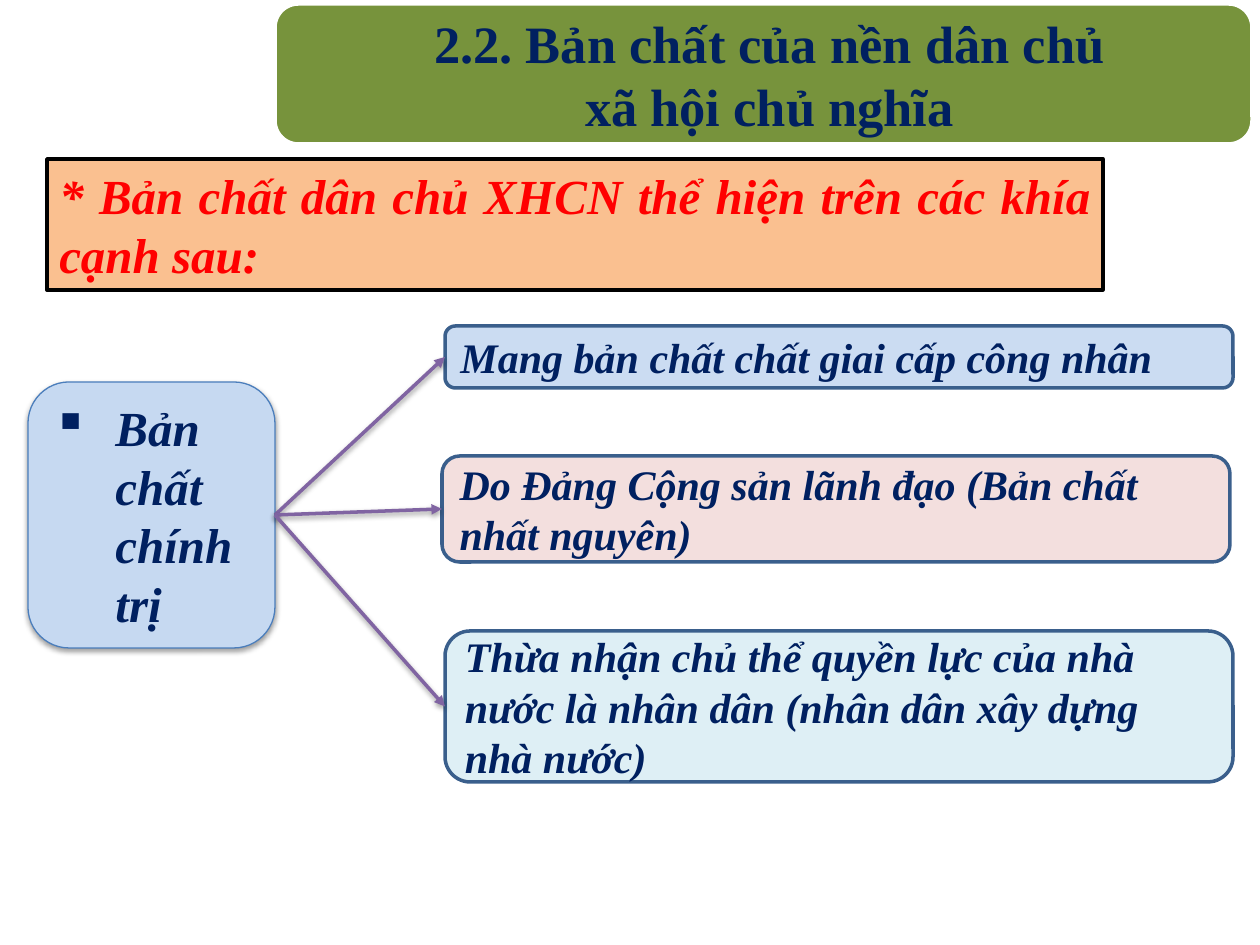
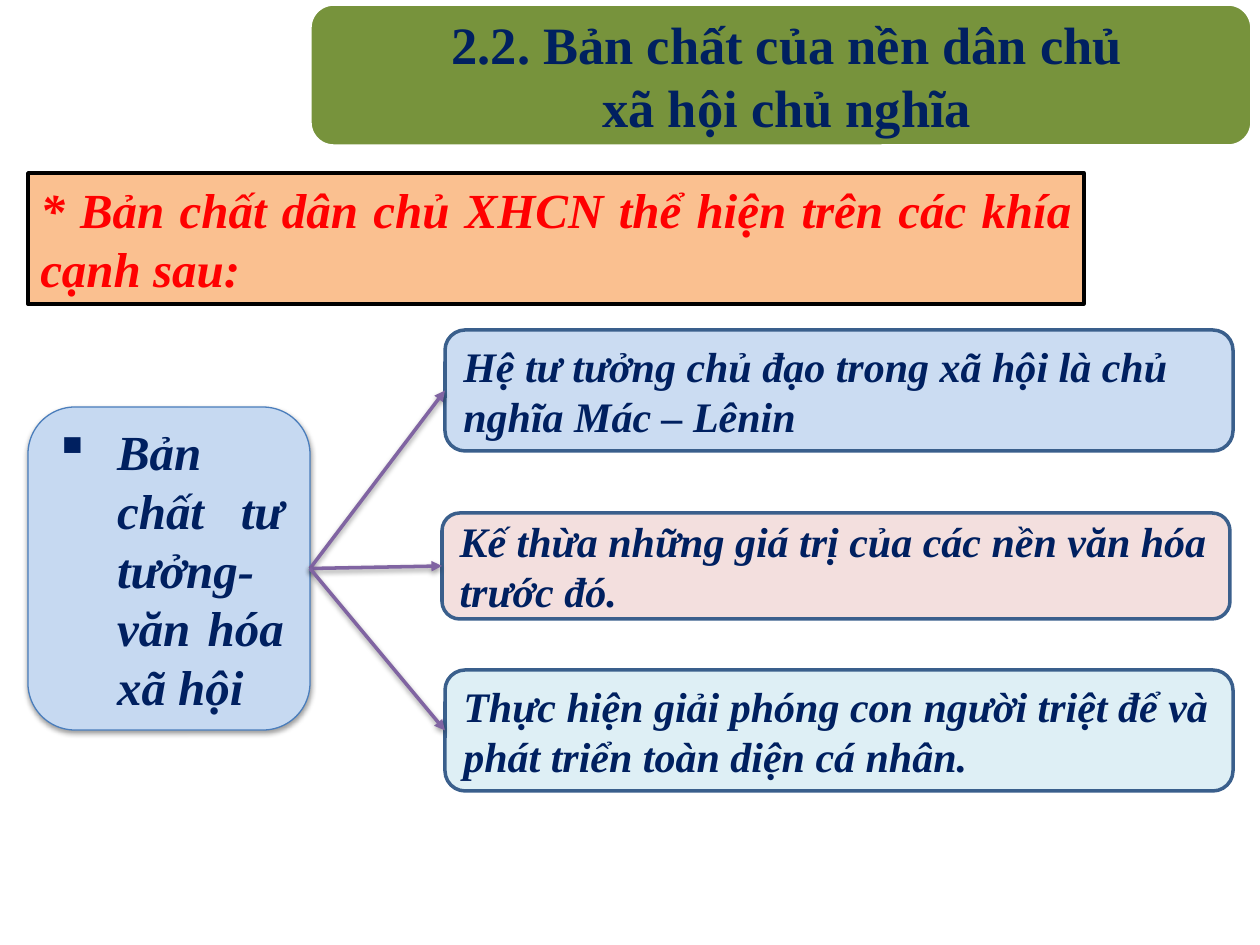
"""Build two slides on the nature of socialist democracy, each linking a topic to three points."""
from dataclasses import dataclass

from lxml import etree
from pptx import Presentation
from pptx.dml.color import RGBColor
from pptx.enum.shapes import MSO_CONNECTOR, MSO_SHAPE
from pptx.enum.text import MSO_ANCHOR, PP_ALIGN
from pptx.oxml.ns import qn
from pptx.util import Pt

RECTANGLE, ROUNDED = MSO_SHAPE.RECTANGLE, MSO_SHAPE.ROUNDED_RECTANGLE
STRAIGHT = MSO_CONNECTOR.STRAIGHT
TOP, MIDDLE = MSO_ANCHOR.TOP, MSO_ANCHOR.MIDDLE
LEFT, CENTER, JUSTIFY = PP_ALIGN.LEFT, PP_ALIGN.CENTER, PP_ALIGN.JUSTIFY
LEFT_SIDE, RIGHT_SIDE = 1, 3

TITLE = ["2.2. Bản chất của nền dân chủ", "xã hội chủ nghĩa"]
HEADING = "* Bản chất dân chủ XHCN thể hiện trên các khía cạnh sau:"

SLIDES = [
    {
        "band": (275, 140),
        "heading": (47, 159),
        "topic": ("Bản chất chính trị", 382, 247, 266),
        "points": [
            ("Mang bản chất chất giai cấp công nhân", 326, 62),
            ("Do Đảng Cộng sản lãnh đạo (Bản chất nhất nguyên)", 456, 106),
            ("Thừa nhận chủ thể quyền lực của nhà nước là nhân dân "
             "(nhân dân xây dựng nhà nước)", 631, 151),
        ],
    },
    {
        "band": (310, 142),
        "heading": (28, 173),
        "topic": ("Bản chất tư tưởng- văn hóa xã hội", 407, 282, 323),
        "points": [
            ("Hệ tư tưởng chủ đạo trong xã hội là chủ nghĩa Mác – Lênin", 330, 121),
            ("Kế thừa những giá trị của các nền văn hóa trước đó.", 513, 106),
            ("Thực hiện giải phóng con người triệt để và phát triển toàn diện cá nhân.",
             670, 121),
        ],
    },
]

SLIDE_SIZE = (1260, 945)
BAND_TOP, BAND_RIGHT = 4, 1252
TITLE_SHIFT, TITLE_TOP, TITLE_INSET = 12, 11, 30
HEADING_SIZE = (1056, 131)
TOPIC_LEFT, BULLET_INDENT = 28, 63
POINT_LEFTS, POINT_WIDTH = (445, 442, 445), 788


@dataclass(frozen=True)
class Theme:
    """Colours, font and type sizes shared by the slides."""
    font: str = "Times New Roman"
    title_size: int = 30
    heading_size: int = 28
    point_size: int = 24
    navy: str = "002060"
    red: str = "FF0000"
    white: str = "FFFFFF"
    black: str = "000000"
    band: str = "77933C"
    heading: str = "FAC090"
    topic: str = "C6D9F1"
    topic_line: str = "4B7EBC"
    points: tuple = ("C6D9F1", "F2DCDB", "DBEEF4")
    point_line: str = "3A5F8C"
    point_opacity: int = 90
    arrow: str = "8064A2"
    line_width: float = 2
    thin_width: float = 0.75


THEME = Theme()


def px(length):
    """Turn pixels into EMU."""
    return round(length * 914400 / 126)


def add_element(parent, tag, **attributes):
    """Append an XML element with the given attributes."""
    element = etree.SubElement(parent, qn(tag))
    for name, value in attributes.items():
        element.set(name, str(value))
    return element


def add_shadow(effects):
    """Put a soft downward shadow in an effect list."""
    shadow = add_element(effects, "a:outerShdw", blurRad=40000, dist=20000,
                         dir=5400000, rotWithShape=0)
    color = add_element(shadow, "a:srgbClr", val=THEME.black)
    add_element(color, "a:alpha", val=38000)


def add_box(slide, kind, box, fill, line, width=THEME.line_width):
    """Add a filled, outlined shape without a shadow."""
    shape = slide.shapes.add_shape(kind, *map(px, box))
    shape.shadow.inherit = False
    shape.fill.solid()
    shape.fill.fore_color.rgb = RGBColor.from_string(fill)
    shape.line.color.rgb = RGBColor.from_string(line)
    shape.line.width = Pt(width)
    return shape


def write(shape, lines, size, color=THEME.navy, align=LEFT, anchor=MIDDLE,
          italic=True, bullet=None):
    """Write bold paragraphs into a shape."""
    frame = shape.text_frame
    frame.word_wrap = True
    frame.vertical_anchor = anchor
    frame.text = "\n".join(lines)
    for paragraph in frame.paragraphs:
        paragraph.alignment = align
        if bullet:
            properties = paragraph._p.get_or_add_pPr()
            properties.set("marL", str(px(BULLET_INDENT)))
            properties.set("indent", str(-px(BULLET_INDENT)))
            add_element(properties, "a:buChar", char=bullet)
        font = paragraph.font
        font.name, font.size = THEME.font, Pt(size)
        font.bold, font.italic = True, italic
        font.color.rgb = RGBColor.from_string(color)


def add_title(slide, left, height):
    """Add the green band and the title over it."""
    width = BAND_RIGHT - left
    add_box(slide, ROUNDED, (left, BAND_TOP, width, height), THEME.band, THEME.white)
    title_box = (left + TITLE_SHIFT, TITLE_TOP, width - TITLE_SHIFT, height - 14)
    title = slide.shapes.add_textbox(*map(px, title_box))
    frame = title.text_frame
    frame.margin_left = frame.margin_right = px(TITLE_INSET)
    frame.margin_top = frame.margin_bottom = 0
    write(title, TITLE, THEME.title_size, align=CENTER, italic=False)


def add_heading(slide, left, top):
    """Add the framed heading."""
    heading = add_box(slide, RECTANGLE, (left, top, *HEADING_SIZE),
                      THEME.heading, THEME.black)
    write(heading, [HEADING], THEME.heading_size, THEME.red, JUSTIFY, TOP)


def add_topic(slide, text, top, width, height):
    """Add the bulleted topic box that the arrows start from."""
    topic = add_box(slide, ROUNDED, (TOPIC_LEFT, top, width, height),
                    THEME.topic, THEME.topic_line, THEME.thin_width)
    add_shadow(topic._element.spPr.find(qn("a:effectLst")))
    write(topic, [text], THEME.heading_size, align=JUSTIFY, bullet="▪")
    return topic


def add_point(slide, text, box, fill):
    """Add a slightly transparent point box."""
    point = add_box(slide, ROUNDED, box, fill, THEME.point_line)
    color = point._element.spPr.find(qn("a:solidFill")).find(qn("a:srgbClr"))
    add_element(color, "a:alpha", val=THEME.point_opacity * 1000)
    write(point, [text], THEME.point_size)
    return point


def add_arrow(slide, topic, point):
    """Join the topic's right side to a point's left side."""
    arrow = slide.shapes.add_connector(STRAIGHT, 0, 0, 0, 0)
    arrow.begin_connect(topic, RIGHT_SIDE)
    arrow.end_connect(point, LEFT_SIDE)
    arrow.line.color.rgb = RGBColor.from_string(THEME.arrow)
    arrow.line.width = Pt(THEME.line_width)
    properties = arrow._element.spPr
    add_element(properties.find(qn("a:ln")), "a:tailEnd", type="triangle")
    add_shadow(add_element(properties, "a:effectLst"))


def main():
    """Build and save the presentation."""
    presentation = Presentation()
    presentation.slide_width, presentation.slide_height = map(px, SLIDE_SIZE)
    for content in SLIDES:
        slide = presentation.slides.add_slide(presentation.slide_layouts[6])
        add_title(slide, *content["band"])
        add_heading(slide, *content["heading"])
        topic = add_topic(slide, *content["topic"])
        points = [
            add_point(slide, text, (left, top, POINT_WIDTH, height), fill)
            for (text, top, height), left, fill
            in zip(content["points"], POINT_LEFTS, THEME.points)
        ]
        for point in points:
            add_arrow(slide, topic, point)
    presentation.save("out.pptx")


if __name__ == "__main__":
    main()
